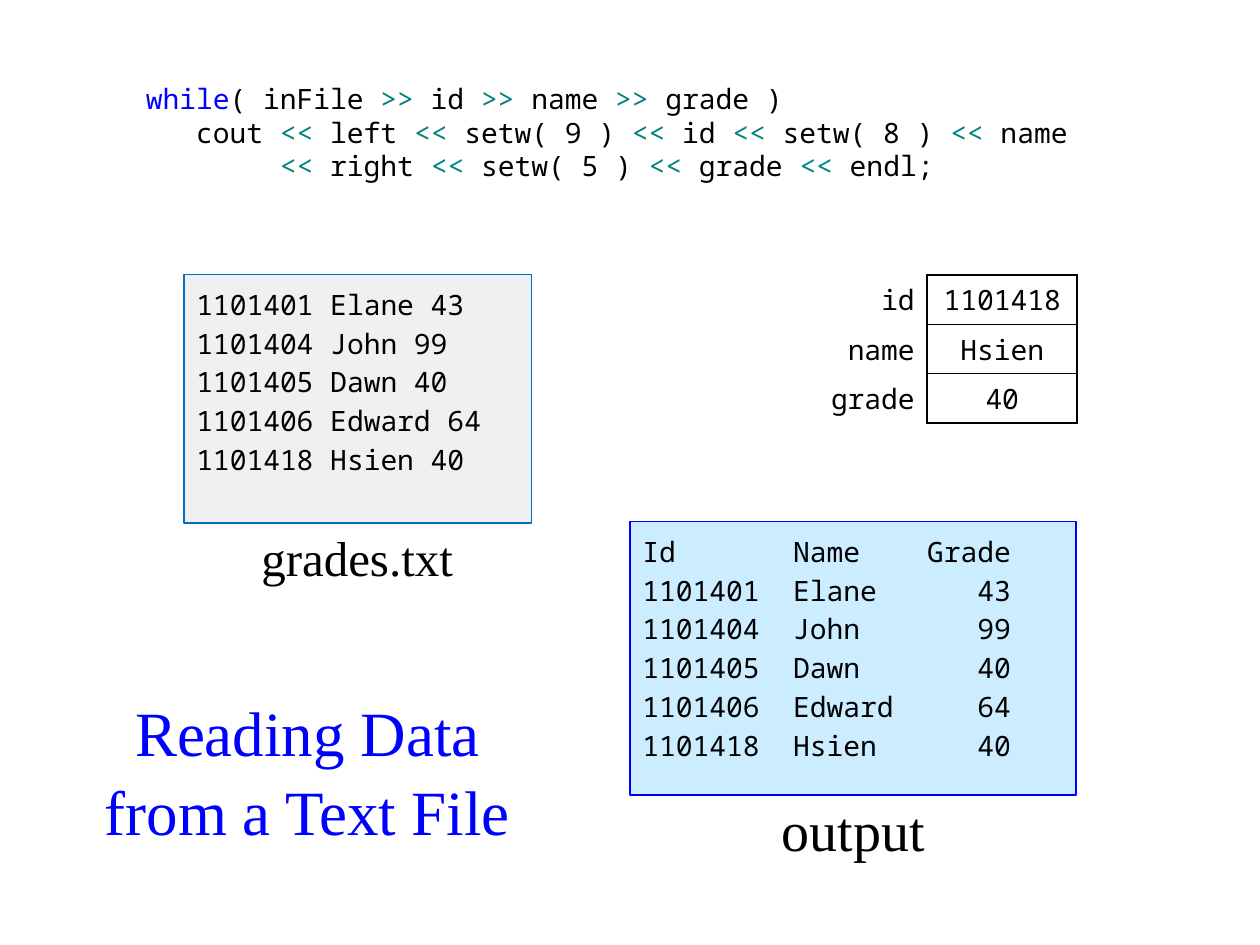
from pptx import Presentation
from pptx.dml.color import RGBColor as RGB
from pptx.enum.shapes import MSO_SHAPE as SHAPE
from pptx.enum.text import MSO_ANCHOR as ANCHOR, PP_ALIGN as ALIGN
from pptx.oxml import parse_xml
from pptx.oxml.ns import nsdecls
from pptx.util import Inches, Pt

BLACK = RGB(0x00, 0x00, 0x00)
BLUE = RGB(0x00, 0x00, 0xFF)
TEAL = RGB(0x00, 0x80, 0x80)
GRAY = RGB(0xF0, 0xF0, 0xF2)
EDGE = RGB(0x00, 0x70, 0xC0)
SKY = RGB(0xCC, 0xEC, 0xFF)

MONO = "Noto Sans Mono"
SERIF = "Times New Roman"
TINTS = {"while": BLUE, "<<": TEAL, ">>": TEAL}

CODE = [
    "while|( inFile |>>| id |>>| name |>>| grade )",
    "   cout |<<| left |<< |setw( 9 ) |<<| id |<< |setw( 8 ) |<<| name",
    "        |<<| right |<< |setw( 5 ) |<<| grade |<<| endl;",
]
HEAD = ("Id", "Name", "Grade")
ROWS = [
    ("1101401", "Elane", "43"),
    ("1101404", "John", "99"),
    ("1101405", "Dawn", "40"),
    ("1101406", "Edward", "64"),
    ("1101418", "Hsien", "40"),
]


def style(para, face, size, color=None, align=ALIGN.LEFT):
    para.alignment = align
    para.font.name = face
    para.font.size = Pt(size)
    if color is not None:
        para.font.color.rgb = color


def add_code(slide, x, y, w, h):
    frame = slide.shapes.add_textbox(x, y, w, h).text_frame
    frame.word_wrap = True
    for i, line in enumerate(CODE):
        para = frame.add_paragraph() if i else frame.paragraphs[0]
        style(para, MONO, 16)
        for part in line.split("|"):
            run = para.add_run()
            run.text = part
            run.font.color.rgb = TINTS.get(part.strip(), BLACK)


def add_panel(slide, x, y, w, h, lines, fill, edge):
    panel = slide.shapes.add_shape(SHAPE.RECTANGLE, x, y, w, h)
    panel.shadow.inherit = False
    panel.fill.solid()
    panel.fill.fore_color.rgb = fill
    panel.line.color.rgb = edge
    panel.line.width = Pt(1)
    frame = panel.text_frame
    frame.word_wrap = True
    frame.vertical_anchor = ANCHOR.TOP
    frame.margin_left = frame.margin_right = Inches(0.1)
    frame.margin_top = frame.margin_bottom = Inches(0.1)
    frame.text = "\n".join(lines)
    for para in frame.paragraphs:
        style(para, MONO, 16, BLACK)
        para.space_before = Pt(3)


def add_label(slide, x, y, w, h, text, size, top):
    frame = slide.shapes.add_textbox(x, y, w, h).text_frame
    frame.word_wrap = False
    frame.margin_top = top
    frame.text = text
    style(frame.paragraphs[0], SERIF, size, BLACK, ALIGN.CENTER)


def add_title(slide, x, y, w, h):
    frame = slide.shapes.add_textbox(x, y, w, h).text_frame
    frame.word_wrap = True
    frame.vertical_anchor = ANCHOR.MIDDLE
    frame.text = "Reading Data from a Text File"
    para = frame.paragraphs[0]
    style(para, SERIF, 36, BLUE, ALIGN.CENTER)
    para.line_spacing = 1.05


def set_edge(cell, side, width):
    if width:
        body = (f'<a:solidFill><a:srgbClr val="{BLACK}"/></a:solidFill>'
                '<a:prstDash val="solid"/>')
    else:
        body = "<a:noFill/>"
    edge = parse_xml(
        f'<a:{side} {nsdecls("a")} w="{Pt(width)}">{body}</a:{side}>')
    cell._tc.get_or_add_tcPr().append(edge)


def add_vars(slide, x, y, w, h):
    pairs = list(zip(("id", "name", "grade"), ROWS[-1]))
    last = len(pairs) - 1
    table = slide.shapes.add_table(len(pairs), 2, x, y, w, h).table
    table.first_row = table.horz_banding = False
    table.columns[0].width = Inches(0.98)
    table.columns[1].width = w - Inches(0.98)
    for r, pair in enumerate(pairs):
        for c, text in enumerate(pair):
            cell = table.cell(r, c)
            cell.text = text
            cell.vertical_anchor = ANCHOR.MIDDLE
            para = cell.text_frame.paragraphs[0]
            style(para, MONO, 16, BLACK, ALIGN.CENTER if c else ALIGN.RIGHT)
            para.space_before = Pt(3)
            top = 0.75 if r else 1.5
            low = 0.75 if r < last else 1.5
            widths = (1.5, 1.5, top, low) if c else (0, 1.5, 0, 0)
            for side, width in zip(("lnL", "lnR", "lnT", "lnB"), widths):
                set_edge(cell, side, width)
            cell.fill.background()


def main():
    deck = Presentation()
    deck.slide_width, deck.slide_height = Inches(10), Inches(7.5)
    slide = deck.slides.add_slide(deck.slide_layouts[6])

    def box(*sides):
        return [Inches(side) for side in sides]

    data = [" ".join(row) for row in ROWS]
    report = [f"{key:<9}{name:<8}{grade:>5}" for key, name, grade in [HEAD, *ROWS]]
    add_title(slide, *box(0.67, 5.32, 3.54, 1.57))
    add_code(slide, *box(1.06, 0.6, 7.87, 0.98))
    add_panel(slide, *box(1.46, 2.18, 2.76, 1.97), data, GRAY, EDGE)
    add_label(slide, *box(1.85, 4.14, 1.97, 0.59), "grades.txt", 28, Inches(0.05))
    add_vars(slide, *box(6.38, 2.18, 2.17, 1.18))
    add_panel(slide, *box(5, 4.14, 3.54, 2.17), report, SKY, BLUE)
    add_label(slide, *box(5.79, 6.31, 1.97, 0.59), "output", 32, 0)
    deck.save("out.pptx")


if __name__ == "__main__":
    main()
